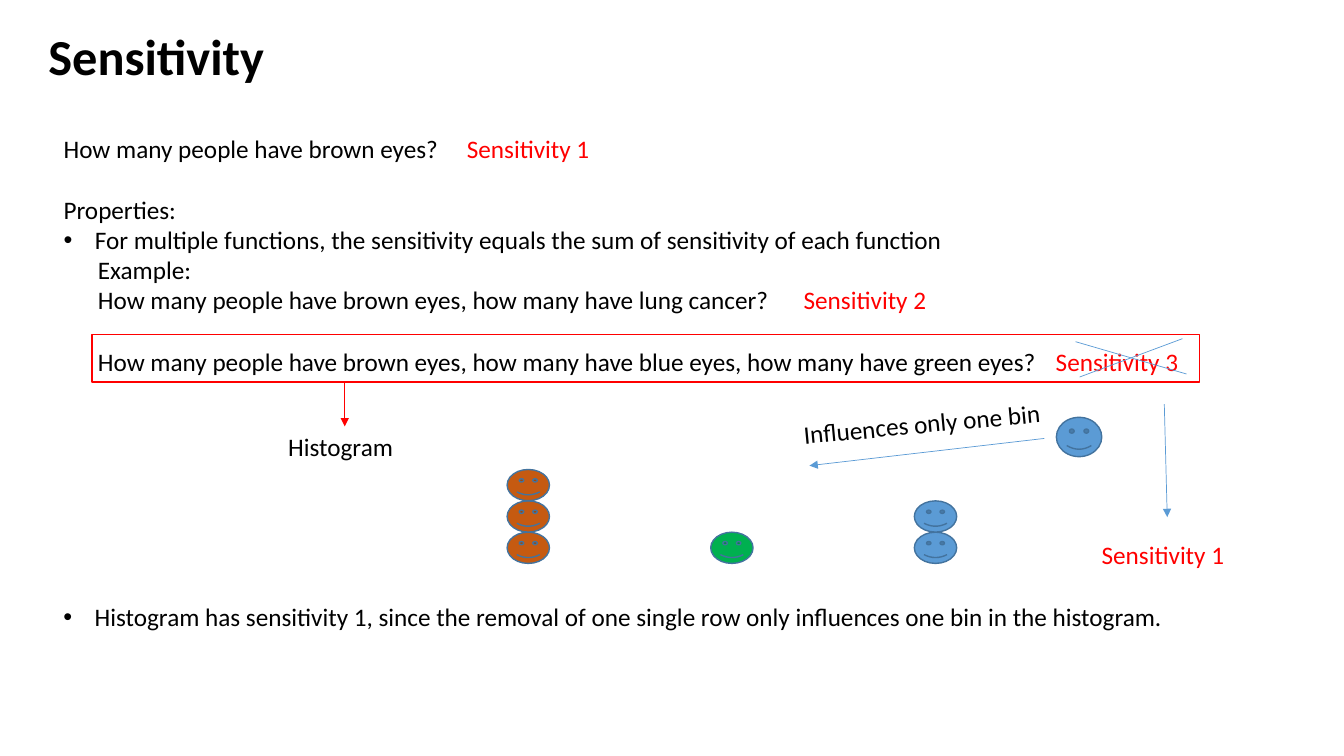
import pptx
import pptx.util
import pptx.dml.color
import pptx.enum.shapes
import pptx.enum.text
import pptx.oxml.ns
from dataclasses import dataclass
from lxml import etree


@dataclass(frozen=True)
class Theme:
    font: str = "Calibri"
    text: str = "000000"
    accent: str = "FF0000"
    blue: str = "5B9BD5"
    brown: str = "C55A11"
    green: str = "00B050"
    outline: str = "43739E"
    title_size: int = 36
    body_size: int = 18
    thin: float = 0.5
    medium: float = 1


THEME = Theme()
WIDTH, HEIGHT = 13.33, 7.5
BULLET_INDENT, EXAMPLE_INDENT, BLANK_LINE = 0.31, 0.34, 22

TITLE = ("Sensitivity", (2.85, 1.47, 86.4, 12.8))
BODY_BOX = (3.98, 16.93, 91.65, 37.73)
BODY = [
    ("How many people have brown eyes?", dict(answer="Sensitivity 1", tab=3.99)),
    ("Properties:", dict(before=BLANK_LINE)),
    ("For multiple functions, the sensitivity equals the sum of sensitivity of each function",
     dict(bullet=True)),
    ("Example:", dict(indent=EXAMPLE_INDENT)),
    ("How many people have brown eyes, how many have lung cancer?",
     dict(indent=EXAMPLE_INDENT, answer="Sensitivity 2", tab=7.27)),
    ("How many people have brown eyes, how many have blue eyes, how many have green eyes?",
     dict(indent=EXAMPLE_INDENT, answer="Sensitivity 3", tab=9.92, before=BLANK_LINE)),
]
LABELS = [
    ("Histogram", (20.7, 56.4, 9.83, 5.33), 0, {}),
    ("Influences only one bin", (59.03, 53.33, 19.35, 5.33), 354.6, {}),
    ("Sensitivity 1", (81.23, 70.67, 10.73, 5.33), 0, dict(color=THEME.accent)),
    ("Histogram has sensitivity 1, since the removal of one single row only influences "
     "one bin in the histogram.", (3.98, 78.93, 85.28, 5.33), 0, dict(bullet=True)),
]
QUERY_FRAME = (6.83, 44.27, 82.43, 6.27)
CROSS = [(80.03, 45.2, 88.28, 49.47), (80.33, 49.87, 87.98, 44.8)]
ARROWS = [
    ((25.65, 50.53, 25.65, 56.4), THEME.accent),
    ((77.7, 58, 60.23, 61.6), THEME.blue),
    ((86.63, 53.47, 86.85, 68.4), THEME.blue),
]
REMOVED_FACE = (78.6, 55.2, 3.38, 5.2)
BINS = [(THEME.brown, 3), (THEME.green, 1), (THEME.blue, 2)]
BIN_LEFT, BIN_STEP, BIN_FLOOR, FACE_STEP = 37.73, 15.15, 70.4, 4.15
FACE_WIDTH, FACE_HEIGHT = 3.15, 4.13


def rgb(value):
    return pptx.dml.color.RGBColor.from_string(value)


def place(shares):
    sizes = (WIDTH, HEIGHT, WIDTH, HEIGHT)
    return [pptx.util.Inches(share * size / 100) for share, size in zip(shares, sizes)]


def move(shape, shares):
    shape.left, shape.top, shape.width, shape.height = place(shares)


def add_element(parent, tag, **attributes):
    return etree.SubElement(parent, pptx.oxml.ns.qn(tag), attributes)


def write(frame, text, size=THEME.body_size, color=THEME.text, bold=False, bullet=False,
          indent=0, before=0, answer=None, tab=0, spacing=1.0):
    paragraph = frame.paragraphs[0] if not frame.text else frame.add_paragraph()
    properties = paragraph._p.get_or_add_pPr()
    left = BULLET_INDENT if bullet else indent
    properties.set("marL", str(pptx.util.Inches(left)))
    properties.set("indent", str(pptx.util.Inches(-left if bullet else 0)))
    if bullet:
        add_element(properties, "a:buFont", typeface="Arial")
        add_element(properties, "a:buChar", char="•")
    else:
        add_element(properties, "a:buNone")
    if answer:
        stops = add_element(properties, "a:tabLst")
        add_element(stops, "a:tab", pos=str(pptx.util.Inches(tab)), algn="l")
    paragraph.alignment = pptx.enum.text.PP_ALIGN.LEFT
    paragraph.line_spacing = spacing
    paragraph.space_before = pptx.util.Pt(before)
    parts = [(text, color)]
    if answer:
        parts = [(text + "\t", color), (answer, THEME.accent)]
    for words, shade in parts:
        run = paragraph.add_run()
        run.text = words
        run.font.name = THEME.font
        run.font.size = pptx.util.Pt(size)
        run.font.bold = bold
        run.font.color.rgb = rgb(shade)


def add_line(shapes, ends, color, arrow=False):
    line = shapes.add_connector(pptx.enum.shapes.MSO_CONNECTOR.STRAIGHT, *place(ends))
    line.line.color.rgb = rgb(color)
    line.line.width = pptx.util.Pt(THEME.thin)
    if arrow:
        add_element(line.line._get_or_add_ln(), "a:tailEnd", type="triangle")
    add_element(line._element.spPr, "a:effectLst")


def add_outlined(shapes, kind, shares, line_color, fill=None):
    shape = shapes.add_shape(kind, *place(shares))
    shape.shadow.inherit = False
    if fill:
        shape.fill.solid()
        shape.fill.fore_color.rgb = rgb(fill)
    else:
        shape.fill.background()
    shape.line.color.rgb = rgb(line_color)
    shape.line.width = pptx.util.Pt(THEME.medium)


def add_face(shapes, shares, fill):
    add_outlined(shapes, pptx.enum.shapes.MSO_SHAPE.SMILEY_FACE, shares, THEME.outline, fill)


def add_texts(slide):
    title = slide.shapes.title
    move(title, TITLE[1])
    title.text_frame.vertical_anchor = pptx.enum.text.MSO_ANCHOR.MIDDLE
    write(title.text_frame, TITLE[0], size=THEME.title_size, bold=True, spacing=0.9)
    body = slide.placeholders[1]
    move(body, BODY_BOX)
    body.text_frame.auto_size = pptx.enum.text.MSO_AUTO_SIZE.NONE
    body.text_frame.vertical_anchor = pptx.enum.text.MSO_ANCHOR.TOP
    for text, style in BODY:
        write(body.text_frame, text, **style)
    for text, shares, rotation, style in LABELS:
        label = slide.shapes.add_textbox(*place(shares))
        label.rotation = rotation
        label.text_frame.word_wrap = style.get("bullet", False)
        write(label.text_frame, text, **style)


def add_drawing(slide):
    cross = slide.shapes.add_group_shape()
    for ends in CROSS:
        add_line(cross.shapes, ends, THEME.blue)
    for ends, color in ARROWS:
        add_line(slide.shapes, ends, color, arrow=True)
    add_outlined(slide.shapes, pptx.enum.shapes.MSO_SHAPE.RECTANGLE, QUERY_FRAME, THEME.accent)
    add_face(slide.shapes, REMOVED_FACE, THEME.blue)
    for column, (color, count) in enumerate(BINS):
        for level in range(count):
            left = BIN_LEFT + column * BIN_STEP
            top = BIN_FLOOR - level * FACE_STEP
            add_face(slide.shapes, (left, top, FACE_WIDTH, FACE_HEIGHT), color)


def main():
    presentation = pptx.Presentation()
    presentation.slide_width = pptx.util.Inches(WIDTH)
    presentation.slide_height = pptx.util.Inches(HEIGHT)
    slide = presentation.slides.add_slide(presentation.slide_layouts[1])
    add_texts(slide)
    add_drawing(slide)
    presentation.save("out.pptx")


if __name__ == "__main__":
    main()
